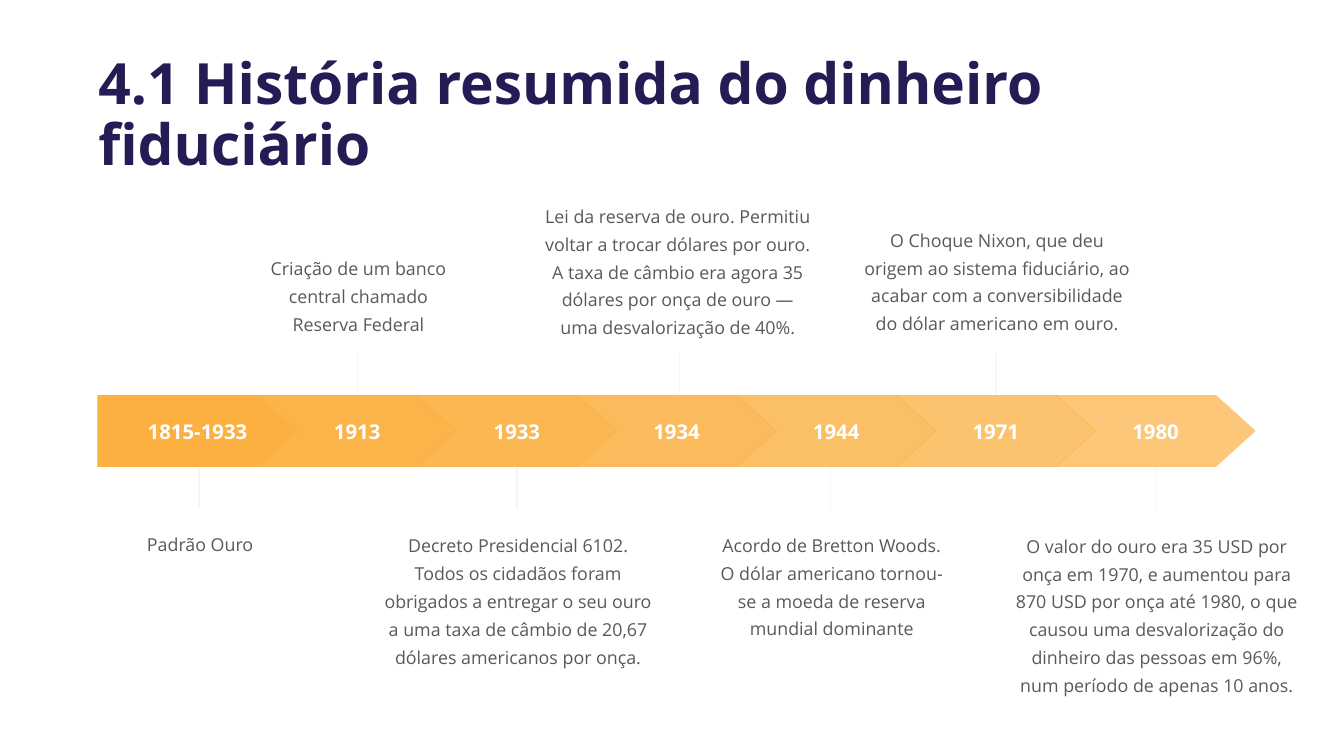
import lxml.etree
import pptx
import pptx.dml.color
import pptx.enum.shapes
import pptx.enum.text
import pptx.oxml.ns
import pptx.util

ALIGN = pptx.enum.text.PP_ALIGN
ANCHOR = pptx.enum.text.MSO_ANCHOR
qn = pptx.oxml.ns.qn

LEFT, PITCH, SPAN, NOTCH = 7.25, 11.88, 14.9, 2.95
TOP, BAND, STEM = 52.25, 9.5, 5.58
MID = LEFT + SPAN / 2

# Year, side, box width, box height, box nudge, stem nudge, text
EVENTS = [
    ("1815-1933", "low", 14.87, 8.25, 0.1, 0.1, "Padrão Ouro"),
    ("1913", "high", 15.73, 15.9, 0, 0,
     "Criação de um banco central chamado Reserva Federal"),
    ("1933", "low", 21.65, 23.5, 0, 0,
     "Decreto Presidencial 6102. Todos os cidadãos foram obrigados a entregar "
     "o seu ouro a uma taxa de câmbio de 20,67 dólares americanos por onça."),
    ("1934", "high", 21.46, 22.9, 0, 0.23,
     "Lei da reserva de ouro. Permitiu voltar a trocar dólares por ouro. A taxa "
     "de câmbio era agora 35 dólares por onça de ouro — uma desvalorização de 40%."),
    ("1944", "low", 19.5, 19.7, -0.42, -0.42,
     "Acordo de Bretton Woods.\vO dólar americano tornou-se a moeda de reserva "
     "mundial dominante"),
    ("1971", "high", 21.46, 19.7, 0, 0,
     "O Choque Nixon, que deu origem ao sistema fiduciário, ao acabar com a "
     "conversibilidade do dólar americano em ouro."),
    ("1980", "low", 23.47, 27.4, 0, 0,
     "O valor do ouro era 35 USD por onça em 1970, e aumentou para 870 USD por "
     "onça até 1980, o que causou uma desvalorização do dinheiro das pessoas em "
     "96%, num período de apenas 10 anos."),
]


def tint(code):
    """Turn a hex string into a colour."""
    return pptx.dml.color.RGBColor.from_string(code)


class Page:
    """Style and current slide, with lengths as percent of the slide's size."""

    font = "Open Sans"
    navy, gray, gold, pale, white = "251B55", "58595B", "FBB040", "F6F6F6", "FFFFFF"

    def __init__(self, deck):
        """Add a title-only slide to the deck."""
        self.wide, self.tall = deck.slide_width, deck.slide_height
        self.slide = deck.slides.add_slide(deck.slide_layouts[5])
        self.shapes = self.slide.shapes

    def x(self, share):
        """Give a share of the width."""
        return round(self.wide * share / 100)

    def y(self, share):
        """Give a share of the height."""
        return round(self.tall * share / 100)

    def label(self, shape, text, size, color, bold, align, anchor, space, pads):
        """Put formatted text into a shape."""
        frame = shape.text_frame
        frame.text = text
        frame.word_wrap = True
        frame.auto_size = pptx.enum.text.MSO_AUTO_SIZE.NONE
        frame.vertical_anchor = anchor
        (frame.margin_left, frame.margin_top,
         frame.margin_right, frame.margin_bottom) = map(pptx.util.Inches, pads)
        para = frame.paragraphs[0]
        para.alignment, para.line_spacing = align, space
        for run in para.runs:
            run.font.name, run.font.size = self.font, pptx.util.Pt(size)
            run.font.bold, run.font.color.rgb = bold, tint(color)

    def paint(self, shape, color):
        """Give a shape a flat fill without line or shadow."""
        shape.shadow.inherit = False
        shape.fill.solid()
        shape.fill.fore_color.rgb = tint(color)
        shape.line.fill.background()

    def title(self, text):
        """Place and fill the title."""
        head = self.shapes.title
        head.left, head.top = self.x(6.87), self.y(8.9)
        head.width, head.height = self.x(86.2), self.y(13)
        self.label(head, text, 67, self.navy, True, ALIGN.LEFT, ANCHOR.MIDDLE,
                   0.9, (0.1, 0.05, 0.1, 0.05))

    def note(self, mid, side, width, height, text):
        """Add a text box above or below the band."""
        top = TOP + BAND + STEM if side == "low" else TOP - STEM - height
        box = self.shapes.add_shape(
            pptx.enum.shapes.MSO_SHAPE.ROUNDED_RECTANGLE,
            self.x(mid - width / 2), self.y(top), self.x(width), self.y(height))
        box.adjustments[0] = 0.05
        self.paint(box, self.white)
        self.label(box, text, 21, self.gray, False, ALIGN.CENTER, ANCHOR.TOP,
                   1.3, (0.16, 0.28, 0.12, 0.28))

    def stem(self, mid, side):
        """Add the line between the band and a text box."""
        top = TOP + BAND if side == "low" else TOP - STEM
        line = self.shapes.add_connector(
            pptx.enum.shapes.MSO_CONNECTOR.STRAIGHT,
            self.x(mid), self.y(top + STEM), self.x(mid), self.y(top))
        line.line.color.rgb = tint(self.pale)
        line.line.width = pptx.util.Pt(1.5)
        lxml.etree.SubElement(line.element.spPr, qn("a:effectLst"))

    def arrow(self, rank, year):
        """Add one step of the band, paler with each rank."""
        left = LEFT + rank * PITCH
        neck, tip = left + SPAN - NOTCH, left + SPAN
        half, base = TOP + BAND / 2, TOP + BAND
        spots = [(neck, TOP), (tip, half), (neck, base), (left, base)]
        if rank:
            spots.append((left + NOTCH, half))
        pen = self.shapes.build_freeform(self.x(left), self.y(TOP))
        pen.add_line_segments([(self.x(a), self.y(b)) for a, b in spots])
        step = pen.convert_to_shape()
        self.paint(step, self.gold)
        if rank:
            color = step.element.spPr.find(".//" + qn("a:srgbClr"))
            alpha = lxml.etree.SubElement(color, qn("a:alpha"))
            alpha.set("val", str(100000 - rank * 5000))
        self.label(step, year, 24, self.white, True, ALIGN.CENTER, ANCHOR.MIDDLE,
                   1.0, (0.07, 0.04, 0.07, 0.04))


def main():
    """Build and save the timeline."""
    deck = pptx.Presentation()
    deck.slide_width = pptx.util.Inches(21.99)
    deck.slide_height = pptx.util.Inches(12.37)
    page = Page(deck)
    page.title("4.1 História resumida do dinheiro fiduciário")
    for rank, (_, side, width, height, nudge, _, text) in enumerate(EVENTS):
        page.note(MID + rank * PITCH + nudge, side, width, height, text)
    for rank, (_, side, _, _, _, nudge, _) in enumerate(EVENTS):
        page.stem(MID + rank * PITCH + nudge, side)
    for rank, event in enumerate(EVENTS):
        page.arrow(rank, event[0])
    deck.save("out.pptx")


if __name__ == "__main__":
    main()
